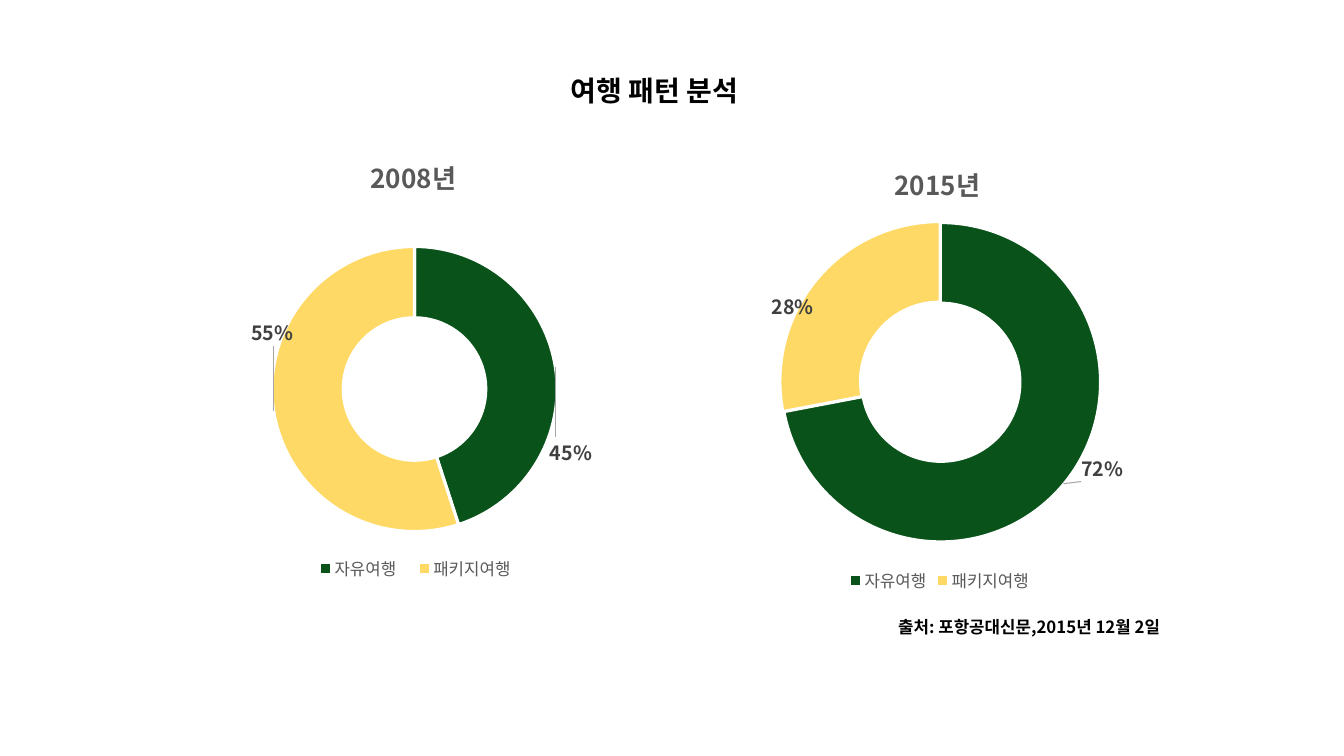
from dataclasses import dataclass

from lxml import etree
from pptx import Presentation
from pptx import util as u
from pptx.chart.data import CategoryChartData
from pptx.dml.color import RGBColor
from pptx.enum import chart as charts, text
from pptx.oxml.ns import qn

PX = 914400 / 100.8


@dataclass(frozen=True)
class Theme:
    font: str = "Noto Sans CJK KR"
    ink: str = "000000"
    muted: str = "595959"
    label: str = "404040"
    leader: str = "A6A6A6"
    white: str = "FFFFFF"
    slices: tuple = ("09531B", "FFD966")
    title_size: float = 20
    chart_title_size: float = 18.6
    label_size: float = 14
    small_size: float = 12
    base_size: float = 10


def px(value):
    return u.Emu(round(value * PX))


def format_font(font, name, size, color, bold=False):
    font.name, font.size, font.bold = name, u.Pt(size), bold
    font.color.rgb = RGBColor.from_string(color)
    etree.SubElement(font._rPr, qn("a:ea")).set("typeface", name)


def write_text(frame, content, align=text.PP_ALIGN.LEFT, line_spacing=None, **font_format):
    paragraph = frame.paragraphs[0]
    paragraph.alignment = align
    paragraph.line_spacing = line_spacing
    run = paragraph.add_run()
    run.text = content
    format_font(run.font, **font_format)


def set_layout(parent, index, target=None, edge=True, **fractions):
    for old in parent.findall(qn("c:layout")):
        parent.remove(old)
    layout = etree.Element(qn("c:layout"))
    manual = etree.SubElement(layout, qn("c:manualLayout"))
    settings = {"layoutTarget": target} if target else {}
    if edge:
        settings.update(xMode="edge", yMode="edge")
    settings.update({key: f"{value:.3f}" for key, value in fractions.items()})
    for key, value in settings.items():
        etree.SubElement(manual, qn(f"c:{key}")).set("val", value)
    parent.insert(index, layout)


def color_leader_lines(labels, color):
    show = labels.find(qn("c:showLeaderLines"))
    if show is None:
        show = etree.SubElement(labels, qn("c:showLeaderLines"))
    show.set("val", "1")
    leader = etree.Element(qn("c:leaderLines"))
    properties = etree.SubElement(leader, qn("c:spPr"))
    line = etree.SubElement(properties, qn("a:ln"), w=str(u.Pt(0.75)))
    fill = etree.SubElement(line, qn("a:solidFill"))
    etree.SubElement(fill, qn("a:srgbClr"), val=color)
    show.addnext(leader)


class SlideBuilder:
    def __init__(self, presentation, theme):
        self.theme = theme
        self.slide = presentation.slides.add_slide(presentation.slide_layouts[5])

    def font(self, size, color, bold=True):
        return dict(name=self.theme.font, size=size, color=color, bold=bold)

    def title(self, content, left, top, width, height):
        shape = self.slide.shapes.title
        shape.left, shape.top, shape.width, shape.height = map(px, (left, top, width, height))
        shape.text_frame.vertical_anchor = text.MSO_ANCHOR.MIDDLE
        write_text(shape.text_frame, content, text.PP_ALIGN.CENTER, 0.9,
                   **self.font(self.theme.title_size, self.theme.ink))

    def textbox(self, content, left, top, width, height):
        shape = self.slide.shapes.add_textbox(*map(px, (left, top, width, height)))
        shape.text_frame.word_wrap = True
        write_text(shape.text_frame, content, line_spacing=0.9,
                   **self.font(self.theme.small_size, self.theme.ink))

    def doughnut(self, year, values, box, ring, heading, label_shifts,
                 legend=None, border=1.5, explosion=0):
        theme = self.theme
        left, top, width, height = box

        def fractions(x, y, w=None, h=None):
            result = dict(x=(x - left) / width, y=(y - top) / height)
            if w:
                result.update(w=w / width, h=h / height)
            return result

        data = CategoryChartData()
        data.categories = ["자유여행", "패키지여행"]
        data.add_series("Series 1", values)
        chart = self.slide.shapes.add_chart(
            charts.XL_CHART_TYPE.DOUGHNUT, *map(px, box), data).chart
        format_font(chart.font, **self.font(theme.base_size, theme.ink, False))

        chart.has_title = True
        write_text(chart.chart_title.text_frame, year, text.PP_ALIGN.CENTER,
                   **self.font(theme.chart_title_size, theme.muted))
        set_layout(chart.chart_title._element, 1, **fractions(*heading))

        chart.has_legend = True
        chart.legend.position = charts.XL_LEGEND_POSITION.BOTTOM
        chart.legend.include_in_layout = False
        format_font(chart.legend.font, **self.font(theme.small_size, theme.muted, False))
        if legend:
            set_layout(chart.legend._element, 1, **fractions(*legend))

        plot = chart.plots[0]
        plot.vary_by_categories = True
        set_layout(plot._element.getparent(), 0, "inner", **fractions(*ring))
        plot._element.find(qn("c:holeSize")).set("val", "71")
        series = plot.series[0]
        labels = series.data_labels
        labels.show_value, labels.show_percentage = False, True
        labels.number_format, labels.number_format_is_linked = "0%", False
        label_font = self.font(theme.label_size, theme.label)
        format_font(labels.font, **label_font)
        color_leader_lines(labels._element, theme.leader)

        for index, (color, shift) in enumerate(zip(theme.slices, label_shifts)):
            point = series.points[index]
            point.format.fill.solid()
            point.format.fill.fore_color.rgb = RGBColor.from_string(color)
            point.format.line.color.rgb = RGBColor.from_string(theme.white)
            point.format.line.width = u.Pt(border)
            format_font(point.data_label.font, **label_font)
            label = labels._element.findall(qn("c:dLbl"))[index]
            label.find(qn("c:showVal")).set("val", "0")
            label.find(qn("c:showPercent")).set("val", "1")
            set_layout(label, 1, edge=False, x=shift[0] / width, y=shift[1] / height)

        if explosion:
            element = etree.Element(qn("c:explosion"))
            element.set("val", str(explosion))
            series._element.find(qn("c:dPt")).addprevious(element)


def main():
    presentation = Presentation()
    presentation.slide_width, presentation.slide_height = u.Inches(13.33), u.Inches(7.5)
    builder = SlideBuilder(presentation, Theme())
    builder.title("여행 패턴 분석", 80, 56, 1148, 73)
    builder.doughnut("2008년", (45, 55), box=(65, 100, 711, 556), ring=(272, 224, 285, 330),
                     heading=(366, 150), label_shifts=((51, 79), (-36, -74)),
                     legend=(303, 555, 225, 28), border=2.25)
    builder.textbox("출처: 포항공대신문,2015년 12월 2일", 888, 614, 391, 42)
    builder.doughnut("2015년", (72, 28), box=(683, 145, 513, 452), ring=(780, 222, 320, 320),
                     heading=(889, 157), label_shifts=((70, 9), (-55, 1)), explosion=1)
    presentation.save("out.pptx")


if __name__ == "__main__":
    main()
